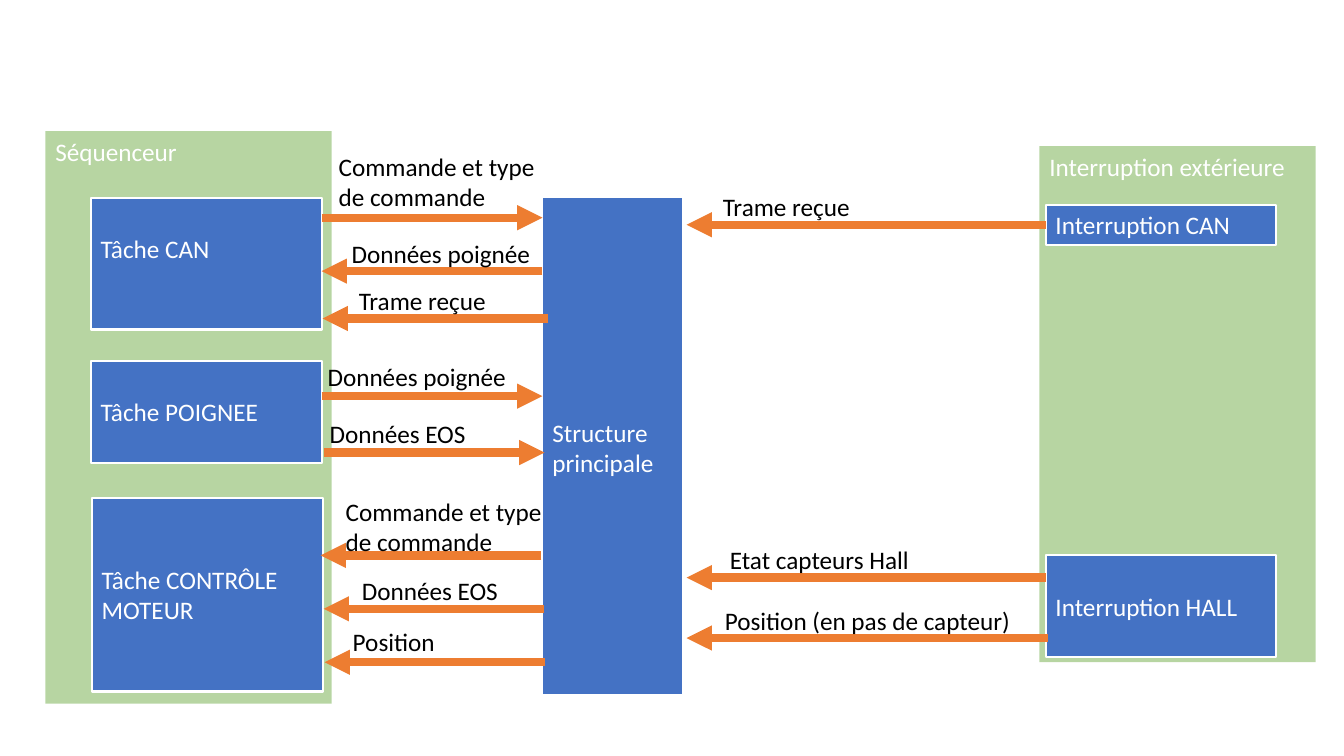
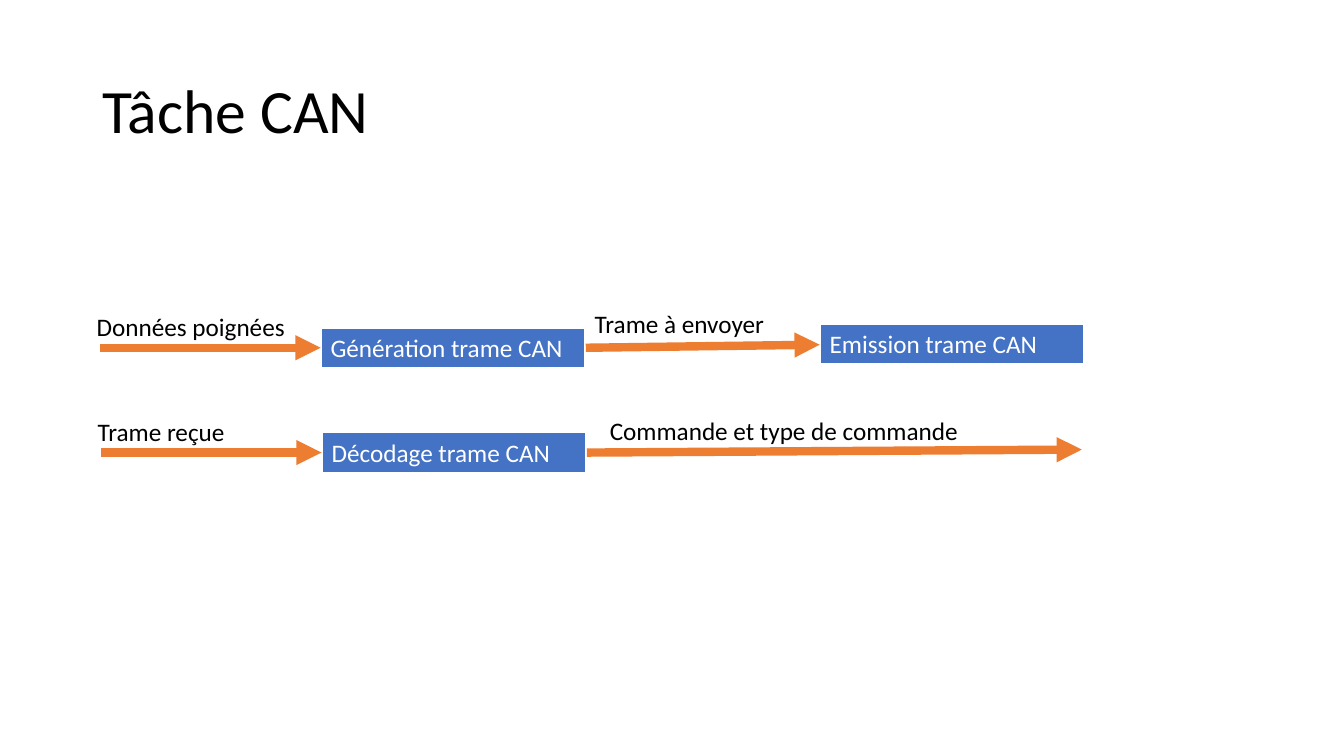
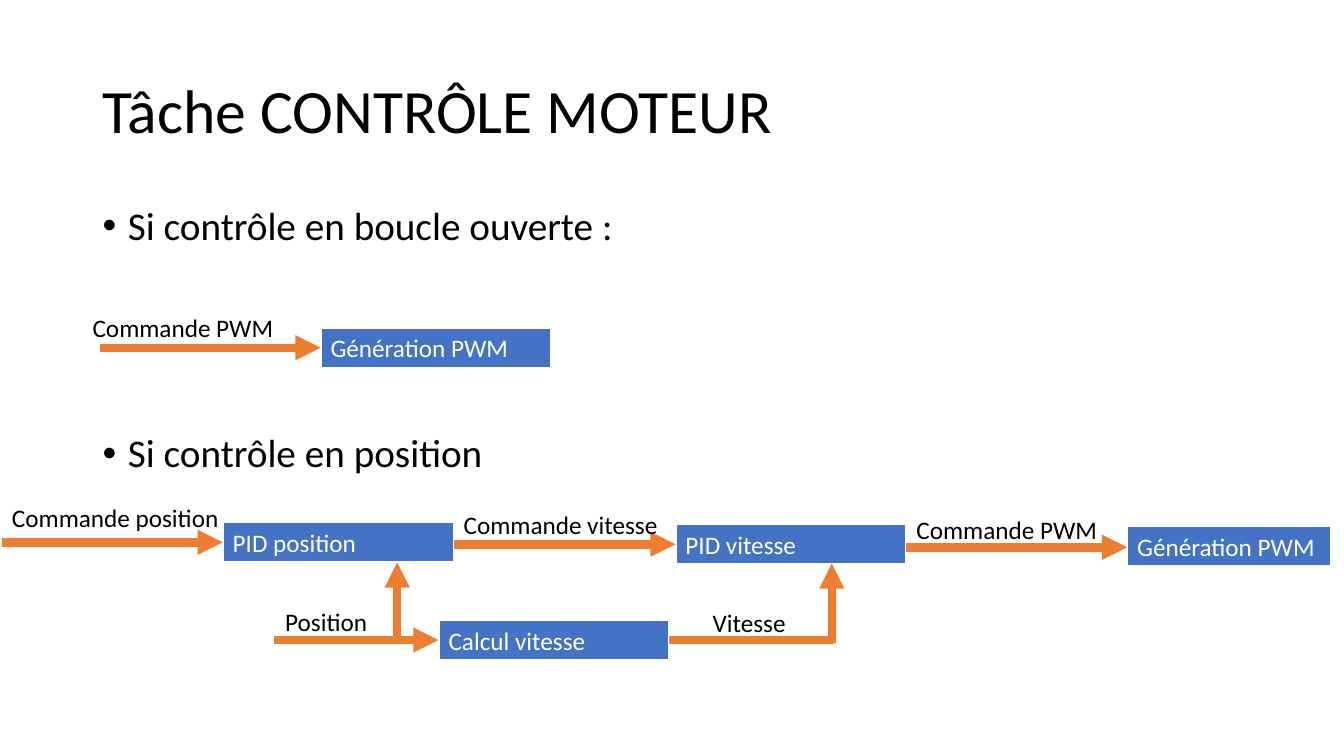
from lxml.etree import SubElement
from pptx import Presentation
from pptx.dml.color import RGBColor
from pptx.enum.shapes import MSO_CONNECTOR, MSO_SHAPE
from pptx.enum.text import MSO_ANCHOR, PP_ALIGN
from pptx.oxml.ns import qn
from pptx.util import Inches, Pt

FONT = "Calibri"
BLACK, WHITE = "000000", "FFFFFF"
BLUE, GREEN, ORANGE = "4472C4", "70AD47", "ED7D31"
TEXT_LINE = 0.305  # height of one 18 pt line, in inches
ROW = 0.4  # height of a one-line box or label
BULLET_INDENT = Inches(0.25)

# panels, boxes: left, top, width, height, text (boxes: text lines left free above)
# arrows, lines: from x, from y, to x, to y
# labels: left, top, width, text
SLIDES = [
    {
        "panels": [
            (10.31, 1.45, 2.74, 5.12, "Interruption extérieure"),
            (0.45, 1.3, 2.84, 5.68, "Séquenceur"),
        ],
        "boxes": [
            (0.9, 1.96, 2.29, 1.31, "Tâche CAN", 1),
            (0.9, 3.58, 2.29, 1.01, "Tâche POIGNEE", 1),
            (0.91, 4.94, 2.29, 1.92, "Tâche CONTRÔLE MOTEUR", 2),
            (5.38, 1.95, 1.4, 4.95, "Structure principale", 7),
            (10.37, 2.03, 2.29, ROW, "Interruption CAN", 0),
            (10.37, 5.51, 2.29, 1.01, "Interruption HALL", 1),
        ],
        "arrows": [
            (3.19, 2.16, 5.38, 2.16),
            (5.38, 2.69, 3.19, 2.69),
            (5.44, 3.16, 3.2, 3.16),
            (3.19, 3.93, 5.38, 3.93),
            (3.21, 4.49, 5.4, 4.49),
            (5.37, 5.51, 3.18, 5.51),
            (5.4, 6.04, 3.21, 6.04),
            (5.41, 6.57, 3.22, 6.57),
            (10.37, 2.23, 6.81, 2.23),
            (10.37, 5.73, 6.81, 5.73),
            (10.39, 6.33, 6.81, 6.33),
        ],
        "labels": [
            (3.26, 1.45, 2.22, "Commande et type de commande"),
            (3.39, 2.32, 2.22, "Données poignée"),
            (3.46, 2.78, 2.48, "Trame reçue"),
            (3.15, 3.54, 2.22, "Données poignée"),
            (3.17, 4.1, 2.22, "Données EOS"),
            (3.33, 4.87, 2.22, "Commande et type de commande"),
            (3.49, 5.66, 2.22, "Données EOS"),
            (3.4, 6.16, 2.22, "Position"),
            (7.07, 1.85, 2.48, "Trame reçue"),
            (7.14, 5.35, 2.05, "Etat capteurs Hall"),
            (7.09, 5.96, 3.11, "Position (en pas de capteur)"),
        ],
    },
    {
        "title": "Tâche CAN",
        "boxes": [
            (3.18, 3.25, 2.62, ROW, "Génération trame CAN", 0),
            (8.13, 3.21, 2.62, ROW, "Emission trame CAN", 0),
            (3.19, 4.29, 2.62, ROW, "Décodage trame CAN", 0),
        ],
        "arrows": [
            (0.99, 3.45, 3.18, 3.45),
            (5.81, 3.45, 8.13, 3.42),
            (1, 4.49, 3.19, 4.49),
            (5.82, 4.49, 10.73, 4.46),
        ],
        "labels": [
            (0.86, 3.04, 2.19, "Données poignées"),
            (5.8, 3.01, 2.19, "Trame à envoyer"),
            (0.87, 4.08, 2.19, "Trame reçue"),
            (5.95, 4.07, 4.5, "Commande et type de commande"),
        ],
    },
    {
        "title": "Tâche CONTRÔLE MOTEUR",
        # text, space before in points
        "bullets": [
            ("Si contrôle en boucle ouverte :", 10),
            ("Si contrôle en position", 132),
        ],
        "boxes": [
            (3.18, 3.25, 2.29, ROW, "Génération PWM", 0),
            (2.21, 5.18, 2.29, ROW, "PID position", 0),
            (6.7, 5.2, 2.29, ROW, "PID vitesse", 0),
            (11.18, 5.22, 2.02, ROW, "Génération PWM", 0),
            (4.35, 6.15, 2.29, ROW, "Calcul vitesse", 0),
        ],
        "arrows": [
            (0.99, 3.45, 3.18, 3.45),
            (0.02, 5.38, 2.21, 5.38),
            (4.5, 5.4, 6.7, 5.4),
            (8.99, 5.43, 11.18, 5.43),
            (2.72, 6.35, 4.35, 6.35),
            (3.94, 6.37, 3.94, 5.58),
            (8.25, 6.38, 8.25, 5.59),
        ],
        "lines": [(6.64, 6.35, 8.27, 6.35)],
        "labels": [
            (0.82, 3.05, 2.27, "Commande PWM"),
            (0.02, 4.93, 2.29, "Commande position"),
            (4.5, 5, 2.7, "Commande vitesse"),
            (8.99, 5.05, 2.19, "Commande PWM"),
            (2.73, 5.97, 1.46, "Position"),
            (6.97, 5.98, 1.46, "Vitesse"),
        ],
    },
]


def write(para, text, size, color):
    para.alignment = PP_ALIGN.LEFT
    span = para.add_run()
    span.text = text
    span.font.name = FONT
    span.font.size = Pt(size)
    span.font.color.rgb = RGBColor.from_string(color)


def add_box(page, left, top, width, height, fill=None):
    """Add a wrapping, top-anchored box: a filled rectangle, or a text box without fill."""
    place = [Inches(length) for length in (left, top, width, height)]
    if fill:
        box = page.shapes.add_shape(MSO_SHAPE.RECTANGLE, *place)
        box.shadow.inherit = False
        box.fill.solid()
        box.fill.fore_color.rgb = RGBColor.from_string(fill)
    else:
        box = page.shapes.add_textbox(*place)
    box.text_frame.word_wrap = True
    box.text_frame.vertical_anchor = MSO_ANCHOR.TOP
    return box


deck = Presentation()
deck.slide_width, deck.slide_height = Inches(13.33), Inches(7.5)

for content in SLIDES:
    page = deck.slides.add_slide(deck.slide_layouts[6])

    if "title" in content:
        frame = add_box(page, 0.92, 0.4, 11.5, 1.45).text_frame
        frame.vertical_anchor = MSO_ANCHOR.MIDDLE
        frame.paragraphs[0].line_spacing = 0.9
        write(frame.paragraphs[0], content["title"], 44, BLACK)

    if "bullets" in content:
        frame = add_box(page, 0.92, 2, 11.5, 4.76).text_frame
        for index, (text, space) in enumerate(content["bullets"]):
            para = frame.add_paragraph() if index else frame.paragraphs[0]
            para.line_spacing = 0.9
            para.space_before = Pt(space)
            write(para, text, 28, BLACK)
            properties = para._p.get_or_add_pPr()
            properties.set("marL", str(BULLET_INDENT))
            properties.set("indent", str(-BULLET_INDENT))
            SubElement(properties, qn("a:buFont"), typeface="Arial")
            SubElement(properties, qn("a:buChar"), char="•")

    for *place, text in content.get("panels", []):
        panel = add_box(page, *place, fill=GREEN)
        panel.line.fill.background()
        color = panel.element.spPr.find(qn("a:solidFill")).find(qn("a:srgbClr"))
        SubElement(color, qn("a:alpha"), val="50000")
        write(panel.text_frame.paragraphs[0], text, 18, WHITE)

    for *place, text, lines_above in content["boxes"]:
        box = add_box(page, *place, fill=BLUE)
        box.line.color.rgb = RGBColor.from_string(WHITE)
        box.line.width = Pt(1.5)
        box.text_frame.margin_top = Inches(0.05 + lines_above * TEXT_LINE)
        write(box.text_frame.paragraphs[0], text, 18, WHITE)

    for kind in ("lines", "arrows"):
        for ends in content.get(kind, []):
            lengths = [Inches(length) for length in ends]
            connector = page.shapes.add_connector(MSO_CONNECTOR.STRAIGHT, *lengths)
            connector.line.color.rgb = RGBColor.from_string(ORANGE)
            connector.line.width = Pt(6)
            properties = connector.element.spPr
            if kind == "arrows":
                SubElement(properties.find(qn("a:ln")), qn("a:tailEnd"), type="triangle")
            SubElement(properties, qn("a:effectLst"))

    for left, top, width, text in content["labels"]:
        label = add_box(page, left, top, width, ROW)
        write(label.text_frame.paragraphs[0], text, 18, BLACK)

deck.save("out.pptx")
